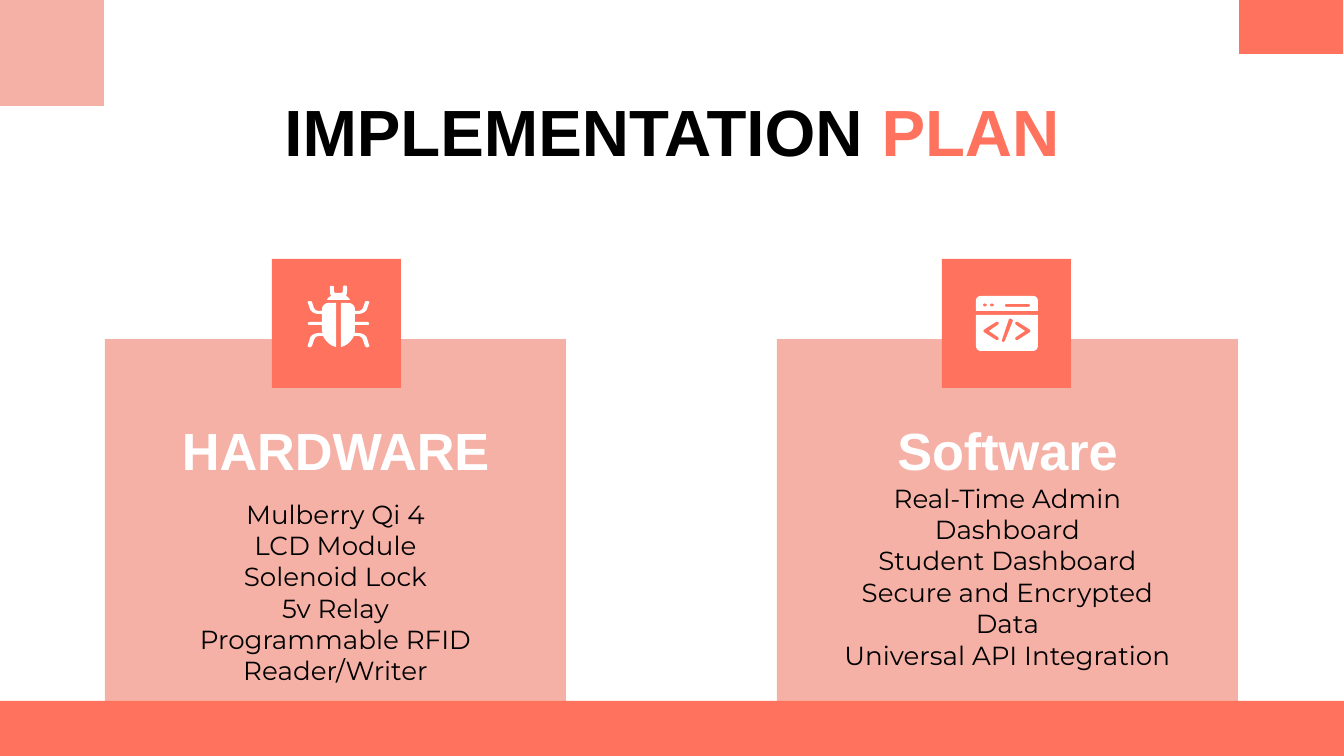
from pptx import Presentation
from pptx.dml.color import RGBColor
from pptx.enum.shapes import MSO_SHAPE
from pptx.enum.text import MSO_ANCHOR, MSO_AUTO_SIZE, PP_ALIGN
from pptx.util import Pt

EMU_PER_PX = 914400 / 134.4
CORAL = RGBColor(0xFF, 0x72, 0x5E)
PINK = RGBColor(0xF6, 0xB1, 0xA7)
BLACK = RGBColor(0, 0, 0)
WHITE = RGBColor(0xFF, 0xFF, 0xFF)

SLIDE_WIDTH, SLIDE_HEIGHT = 1344, 756
CARD_TOP, CARD_WIDTH = 339, 461
TILE_SIZE = 129
INSET = 13
CURVE_STEPS = 6

# Outlines are in px from the tile corner: two numbers are a line end,
# six numbers are the two handles and the end of a cubic curve.
BUG_HALF = [
    (38, 42), (36, 42, 35, 43, 36, 44), (38, 50), (39, 53, 43, 55, 47, 55),
    (50, 55), (50, 63), (38, 63), (35, 63, 35, 66, 38, 66), (50, 66), (50, 71),
    (50, 72, 50, 73, 51, 74), (47, 74), (43, 74, 39, 76, 38, 79), (36, 86),
    (35, 87, 36, 88, 37, 88), (38, 89, 39, 88, 40, 87), (42, 81),
    (43, 78, 45, 77, 47, 77), (51, 77), (54, 83, 59, 87, 64, 88), (64, 44),
    (56, 44), (53, 44, 50, 47, 50, 50), (50, 52), (47, 52),
    (45, 52, 43, 51, 42, 49), (40, 43), (39, 42, 39, 42, 38, 42),
]
BUG_HEAD = [
    (59, 27), (58, 27, 58, 27, 58, 28), (58, 31), (58, 33, 58, 35, 59, 37),
    (57, 38, 56, 39, 55, 41), (78, 41), (77, 39, 76, 38, 74, 37),
    (75, 35, 75, 33, 75, 31), (75, 28), (75, 26, 71, 26, 71, 28), (71, 31),
    (71, 33, 70, 34, 69, 34), (64, 34), (62, 34, 62, 33, 62, 31), (62, 28),
    (62, 27, 61, 27, 59, 27),
]
WINDOW_BAR = [(39, 37), (36, 37, 34, 39, 34, 42), (34, 52), (96, 52), (96, 42),
              (96, 39, 94, 37, 91, 37)]
BAR_SLOT = [(86, 45), (89, 45, 89, 48, 86, 48), (65, 48), (62, 48, 62, 45, 65, 45)]
WINDOW_PANE = [(34, 56), (34, 86), (34, 90, 36, 92, 39, 92), (91, 92),
               (94, 92, 96, 90, 96, 86), (96, 56)]
CHEVRON = [(54, 63), (56, 62, 58, 64, 56, 66), (47, 72), (56, 78),
           (58, 80, 56, 82, 54, 81), (43, 74), (41, 73, 41, 71, 43, 70)]
SLASH = [(67, 60), (68, 59, 71, 60, 71, 62), (63, 82), (62, 84, 59, 83, 60, 81)]


def px(length):
    return round(length * EMU_PER_PX)


def place(shape, left, top, width, height):
    shape.left, shape.top = px(left), px(top)
    shape.width, shape.height = px(width), px(height)


def add_rectangle(slide, left, top, width, height, color):
    shape = slide.shapes.add_shape(
        MSO_SHAPE.RECTANGLE, px(left), px(top), px(width), px(height))
    paint(shape, color)


def paint(shape, color):
    shape.fill.solid()
    shape.fill.fore_color.rgb = color
    shape.line.fill.background()
    shape.shadow.inherit = False


def write_text(shape, paragraphs, size, font="Arial", bold=False,
               anchor=MSO_ANCHOR.MIDDLE):
    """Fill the shape with paragraphs, each a list of (text, color) runs."""
    frame = shape.text_frame
    frame.word_wrap = True
    frame.auto_size = MSO_AUTO_SIZE.NONE
    frame.vertical_anchor = anchor
    frame.margin_left = frame.margin_right = px(INSET)
    frame.margin_top = frame.margin_bottom = px(INSET)
    for index, runs in enumerate(paragraphs):
        paragraph = frame.add_paragraph() if index else frame.paragraphs[0]
        paragraph.alignment = PP_ALIGN.CENTER
        for text, color in runs:
            run = paragraph.add_run()
            run.text = text
            run.font.name = font
            run.font.size = Pt(size)
            run.font.bold = bold
            run.font.color.rgb = color


def mirror(outline, axis_sum):
    """Reflect an outline left to right; axis_sum is twice the axis position."""
    return [tuple(axis_sum - value if index % 2 == 0 else value
                  for index, value in enumerate(step)) for step in outline]


def dot(x, y):
    return [(x - 2, y), (x - 2, y - 2, x + 2, y - 2, x + 2, y),
            (x + 2, y + 2, x - 2, y + 2, x - 2, y)]


def flatten(outline):
    points = []
    for step in outline:
        if len(step) == 2:
            points.append(step)
            continue
        start, controls = points[-1], (step[:2], step[2:4], step[4:])
        for index in range(1, CURVE_STEPS + 1):
            t = index / CURVE_STEPS
            weights = ((1 - t) ** 3, 3 * t * (1 - t) ** 2, 3 * t * t * (1 - t), t ** 3)
            points.append(tuple(
                sum(weight * point[axis] for weight, point in zip(weights, (start, *controls)))
                for axis in (0, 1)))
    return points


def add_outline(slide, left, top, *outlines):
    """Draw one white freeform; outlines inside the first one become holes."""
    contours = [[(px(left + x), px(top + y)) for x, y in flatten(outline)]
                for outline in outlines]
    builder = slide.shapes.build_freeform(*contours[0][0], scale=1.0)
    for index, points in enumerate(contours):
        if index:
            builder.move_to(*points[0])
        builder.add_line_segments(points[1:], close=True)
    paint(builder.convert_to_shape(), WHITE)


def add_bug_icon(slide, left, top):
    add_outline(slide, left, top, BUG_HALF)
    add_outline(slide, left, top, BUG_HEAD)
    add_outline(slide, left, top, mirror(BUG_HALF, 133))


def add_code_icon(slide, left, top):
    add_outline(slide, left, top, WINDOW_BAR, dot(43, 46), dot(50, 46), BAR_SLOT)
    add_outline(slide, left, top, WINDOW_PANE, CHEVRON, mirror(CHEVRON, 130), SLASH)


def add_backdrop(slide, card_lefts):
    for left in card_lefts:
        add_rectangle(slide, left, CARD_TOP, CARD_WIDTH, SLIDE_HEIGHT - CARD_TOP, PINK)
    add_rectangle(slide, 0, 701, SLIDE_WIDTH, 55, CORAL)
    add_rectangle(slide, 1239, 0, 104, 54, CORAL)
    add_rectangle(slide, 0, 0, 104, 106, PINK)


def add_card_content(slide, left, top, heading, items, items_top, tile_left, add_icon):
    """Place heading, items and icon tile relative to the card's corner."""
    heading_box = slide.shapes.add_textbox(0, 0, 0, 0)
    place(heading_box, left + 54, top + 78, 353, 66)
    write_text(heading_box, [[(heading, WHITE)]], size=28, bold=True)

    items_box = slide.shapes.add_textbox(0, 0, 0, 0)
    place(items_box, left + 54, top + items_top, 353, 360 - items_top)
    write_text(items_box, [[(item, BLACK)] for item in items], size=14,
               font="Montserrat", anchor=MSO_ANCHOR.TOP)

    add_rectangle(slide, left + tile_left, top - 80, TILE_SIZE, TILE_SIZE, CORAL)
    add_icon(slide, left + tile_left, top - 80)


def main():
    presentation = Presentation()
    presentation.slide_width = px(SLIDE_WIDTH)
    presentation.slide_height = px(SLIDE_HEIGHT)
    slide = presentation.slides.add_slide(presentation.slide_layouts[5])

    hardware_left, software_left = 105, 777
    add_backdrop(slide, (hardware_left, software_left))
    title = slide.shapes.title
    place(title, 88, 97, 1168, 66)
    write_text(title, [[("IMPLEMENTATION ", BLACK), ("PLAN", CORAL)]], size=35, bold=True)

    add_card_content(
        slide, hardware_left, CARD_TOP, "HARDWARE",
        ["Mulberry Qi 4", "LCD Module", "Solenoid Lock", "5v Relay",
         "Programmable RFID Reader/Writer"],
        items_top=146, tile_left=167, add_icon=add_bug_icon)
    add_card_content(
        slide, software_left, CARD_TOP, "Software",
        ["Real-Time Admin Dashboard", "Student Dashboard",
         "Secure and Encrypted Data", "Universal API Integration"],
        items_top=130, tile_left=165, add_icon=add_code_icon)
    presentation.save("out.pptx")


if __name__ == "__main__":
    main()
